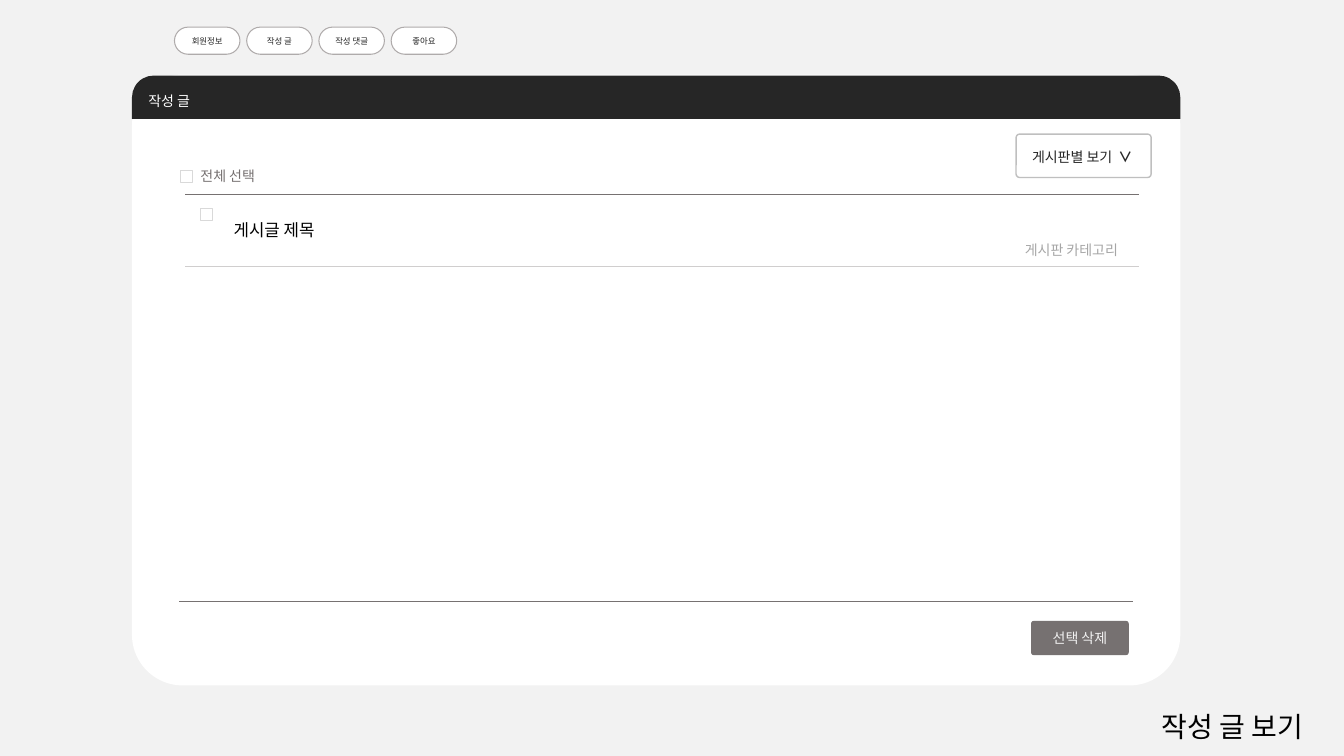
from lxml.etree import SubElement
from pptx import Presentation
from pptx.dml.color import RGBColor
from pptx.enum.shapes import MSO_CONNECTOR, MSO_SHAPE
from pptx.enum.text import MSO_ANCHOR, MSO_AUTO_SIZE, PP_ALIGN
from pptx.oxml.ns import qn
from pptx.util import Pt

FONT = "Noto Sans CJK KR"
ROUND = MSO_SHAPE.ROUNDED_RECTANGLE


def tint(code):
    return RGBColor.from_string(code)


def write(frame, text, size=10, color="262626", align=PP_ALIGN.LEFT,
          anchor=MSO_ANCHOR.MIDDLE, bold=None, space=None):
    frame.word_wrap = True
    frame.vertical_anchor = anchor
    para = frame.paragraphs[0]
    para.alignment = align
    run = para.add_run()
    run.text = text
    run.font.size = Pt(size)
    run.font.bold = bold
    run.font.name = FONT
    run.font.color.rgb = tint(color)
    props = run.font._element
    SubElement(props, qn("a:ea")).set("typeface", FONT)
    if space:
        props.set("spc", str(space))


def block(into, kind, box, fill=None, line=None, width=1, adjust=()):
    shape = into.add_shape(kind, *map(Pt, box))
    shape.shadow.inherit = False
    for i, value in enumerate(adjust):
        shape.adjustments[i] = value
    if fill:
        shape.fill.solid()
        shape.fill.fore_color.rgb = tint(fill)
    else:
        shape.fill.background()
    if line:
        shape.line.color.rgb = tint(line)
        shape.line.width = Pt(width)
    else:
        shape.line.fill.background()
    return shape


def label(into, box, text, **style):
    frame = into.add_textbox(*map(Pt, box)).text_frame
    write(frame, text, anchor=MSO_ANCHOR.TOP, **style)
    frame.auto_size = MSO_AUTO_SIZE.SHAPE_TO_FIT_TEXT


def rule(into, x, y, color):
    line = into.add_connector(MSO_CONNECTOR.STRAIGHT,
                              Pt(x), Pt(y), Pt(x + 681.1), Pt(y))
    line.line.color.rgb = tint(color)
    line.line.width = Pt(0.5)
    SubElement(line._element.spPr, qn("a:effectLst"))


def check(into, x, y):
    block(into, MSO_SHAPE.RECTANGLE, (x, y, 8.6, 8.6), "FFFFFF", "D9D9D9")


def title(slide, box):
    head = slide.shapes.title
    head.left, head.top, head.width, head.height = map(Pt, box)
    write(head.text_frame, "작성 글 보기", size=20, color="000000",
          align=PP_ALIGN.CENTER, anchor=MSO_ANCHOR.TOP)
    head.text_frame.auto_size = MSO_AUTO_SIZE.SHAPE_TO_FIT_TEXT


def panel(slide, box):
    x, y, w, h = box
    group = slide.shapes.add_group_shape().shapes
    block(group, ROUND, box, "FFFFFF", adjust=[0.083])
    bar = block(group, MSO_SHAPE.ROUND_2_SAME_RECTANGLE,
                (x, y + 0.7, w, 31), "262626", adjust=[0.5, 0])
    write(bar.text_frame, "작성 글", color="FFFFFF")


def tabs(slide, box):
    x, y, w, h = box
    group = slide.shapes.add_group_shape().shapes
    names = ["회원정보", "작성 글", "작성 댓글", "좋아요"]
    step = (w - 46.8) / (len(names) - 1)
    for i, name in enumerate(names):
        tab = block(group, ROUND, (x + i * step, y, 46.8, h),
                    "FFFFFF", "AFABAB", 0.75, [0.5])
        write(tab.text_frame, name, size=6, align=PP_ALIGN.CENTER)


def menu(slide, box):
    x, y, w, h = box
    group = slide.shapes.add_group_shape().shapes
    frame = block(group, ROUND, (x + 3.6, y + 0.7, w + 1.4, h),
                  adjust=[0.083]).text_frame
    write(frame, "게시판별 보기")
    write(frame, " ", space=220)
    write(frame, "∨", bold=True)
    block(group, ROUND, box, line="BFBFBF", adjust=[0.083])


def posts(slide, box):
    x, y, w, h = box
    into = slide.shapes
    check(into, x + 34.6, y + 68.4)
    label(into, (x + 41.8, y + 62.6, 63.4, 19.4), "전체 선택", color="767171")
    rule(into, x + 38.2, y + 85.7, "767171")
    check(into, x + 49, y + 95.7)
    label(into, (x + 65.5, y + 100.1, 114.5, 21.6), "게시글 제목",
          size=12, color="000000")
    label(into, (x + 630.7, y + 115.9, 96.5, 19.4), "게시판 카테고리",
          color="A6A6A6")
    rule(into, x + 38.2, y + 136.8, "D0CECE")


def footer(slide, box):
    x, y, w, h = box
    rule(slide.shapes, x + 33.9, y + h - 59.8, "767171")
    button = block(slide.shapes, ROUND, (x + w - 106.6, y + h - 46.1, 69.8, 24.5),
                   "767171", adjust=[0.083])
    write(button.text_frame, "선택 삭제", color="F2F2F2", align=PP_ALIGN.CENTER)


def main():
    deck = Presentation()
    deck.slide_width, deck.slide_height = Pt(960), Pt(540)
    slide = deck.slides.add_slide(deck.slide_layouts[5])
    slide.background.fill.solid()
    slide.background.fill.fore_color.rgb = tint("F2F2F2")
    card = (94.3, 53.3, 748.8, 436.3)
    title(slide, (797, 503.3, 167, 31.7))
    panel(slide, card)
    tabs(slide, (124.6, 19.4, 201.6, 19.4))
    menu(slide, (725.8, 95.8, 96.5, 31))
    posts(slide, card)
    footer(slide, card)
    deck.save("out.pptx")


if __name__ == "__main__":
    main()
